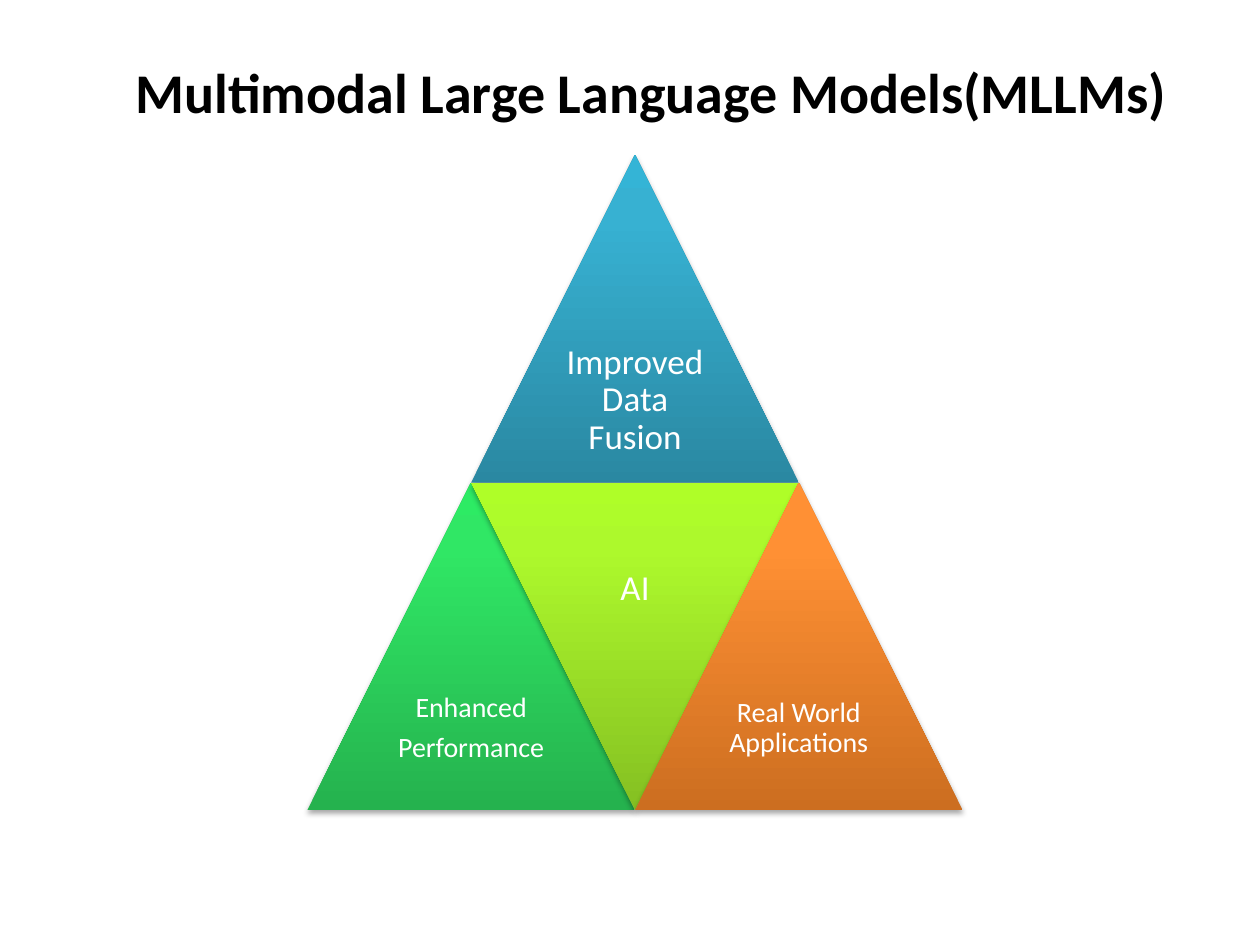
"""Build a slide with four gradient triangles forming one pyramid."""
import pptx
import pptx.util
import pptx.dml.color
import pptx.enum.shapes
import pptx.enum.text
import pptx.oxml

Inches, Pt = pptx.util.Inches, pptx.util.Pt

TITLE = "Multimodal Large Language Models(MLLMs)"
SIDE, LEFT, TOP = 2.6, 2.44, 1.23
# columns: lines, size, column, row, turn, stops, inset, extra top inset
TILES = [
    (["Improved Data Fusion"], 20, 1, 0, 0, ("2A88A2", "37B1D2", "34B4D6"), 0.08, 0),
    (["Enhanced", "Performance"], 16, 0, 1, 0, ("25B24E", "30E765", "2DEB64"), 0.07, 0),
    (["AI"], 20, 1, 1, 180, ("85C022", "ADF92C", "AFFE28"), 0.08, 0.4),
    (["Real World Applications"], 16, 2, 1, 0, ("CC6E20", "FF9034", "FF9136"), 0.07, 0),
]
NS = 'xmlns:a="http://schemas.openxmlformats.org/drawingml/2006/main"'
SHADE = (f'<a:effectLst {NS}><a:outerShdw blurRad="40000" dist="23000" dir="5400000" '
         'rotWithShape="0"><a:srgbClr val="000000"><a:alpha val="35000"/></a:srgbClr>'
         '</a:outerShdw></a:effectLst>')


def color(code):
    """Turn a hex string into a colour."""
    return pptx.dml.color.RGBColor.from_string(code)


def write(shape, lines, size=20, ink="FFFFFF", bold=False, inset=0.1, extra=0,
          line=None, after=0):
    """Fill a shape with centred, formatted paragraphs."""
    frame = shape.text_frame
    frame.word_wrap = True
    frame.auto_size = pptx.enum.text.MSO_AUTO_SIZE.NONE
    frame.vertical_anchor = pptx.enum.text.MSO_ANCHOR.MIDDLE
    frame.margin_left = frame.margin_right = frame.margin_bottom = Inches(inset)
    frame.margin_top = Inches(inset + extra)
    frame.text = "\n".join(lines)
    for para in frame.paragraphs:
        para.alignment = pptx.enum.text.PP_ALIGN.CENTER
        para.line_spacing = line
        para.space_after = Pt(after)
        font = para.font
        font.name, font.size, font.bold = "Calibri", Pt(size), bold
        font.color.rgb = color(ink)


def paint(shape, stops):
    """Give a shape a bottom-to-top gradient and a soft shadow."""
    shape.line.fill.background()
    marks = "".join(f'<a:gs pos="{pos}"><a:srgbClr val="{code}"/></a:gs>'
                    for pos, code in zip((0, 80000, 100000), stops))
    grad = (f'<a:gradFill {NS} rotWithShape="0"><a:gsLst>{marks}</a:gsLst>'
            '<a:lin ang="16200000" scaled="0"/></a:gradFill>')
    props = shape.element.spPr
    props.ln.addprevious(pptx.oxml.parse_xml(grad))
    props.append(pptx.oxml.parse_xml(SHADE))


def main():
    """Create and save the deck."""
    deck = pptx.Presentation()
    deck.slide_width, deck.slide_height = Inches(10), Inches(7.5)
    slide = deck.slides.add_slide(deck.slide_layouts[5])
    title = slide.shapes.title
    title.left, title.top = Inches(0.67), Inches(0.22)
    title.width, title.height = Inches(9), Inches(1.01)
    write(title, [TITLE], size=32, ink="000000", bold=True)

    group = slide.shapes.add_group_shape().shapes
    half = SIDE / 2
    for lines, size, col, row, turn, stops, inset, extra in TILES:
        x, y = LEFT + col * half, TOP + row * SIDE
        tile = group.add_shape(pptx.enum.shapes.MSO_SHAPE.ISOSCELES_TRIANGLE,
                               Inches(x), Inches(y), Inches(SIDE), Inches(SIDE))
        tile.rotation = turn
        paint(tile, stops)
        drop = 0 if turn else half
        label = group.add_textbox(Inches(x + half / 2), Inches(y + drop),
                                  Inches(half), Inches(half))
        write(label, lines, size=size, inset=inset, extra=extra, line=0.9,
              after=size * 0.35)
    deck.save("out.pptx")


if __name__ == "__main__":
    main()
